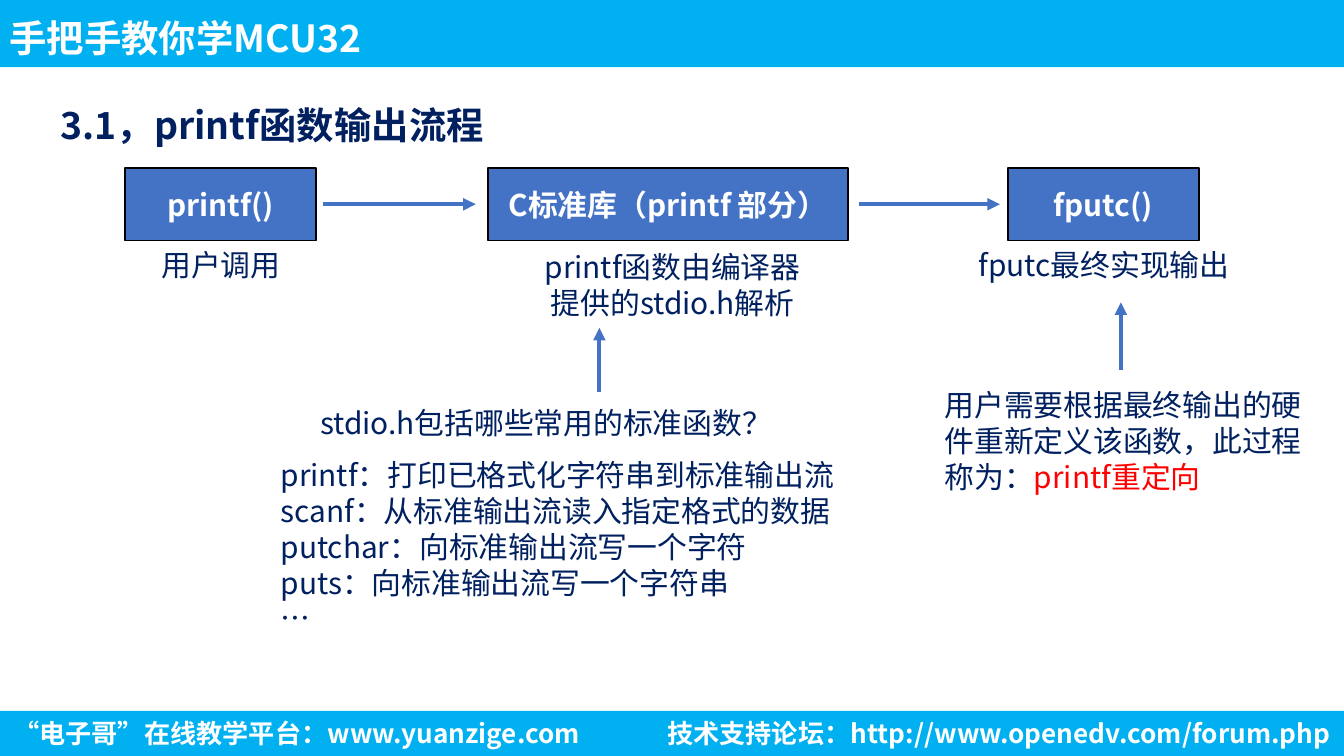
import pptx
import pptx.util
import pptx.dml.color
import pptx.enum.shapes
import pptx.enum.text
import pptx.oxml.ns
from lxml import etree

Inches, Pt = pptx.util.Inches, pptx.util.Pt
ALIGN, ANCHOR = pptx.enum.text.PP_ALIGN, pptx.enum.text.MSO_ANCHOR
RECT = pptx.enum.shapes.MSO_SHAPE.RECTANGLE
STRAIGHT = pptx.enum.shapes.MSO_CONNECTOR.STRAIGHT
qn = pptx.oxml.ns.qn
FONT = "Noto Sans CJK SC"
SKY, BLUE, NAVY = "00B0F0", "4472C4", "002060"
WHITE, BLACK, RED = "FFFFFF", "000000", "FF0000"


def rgb(value):
    return pptx.dml.color.RGBColor.from_string(value)


def write(sp, text, size=16, color=NAVY, bold=False, align=ALIGN.LEFT, anchor=ANCHOR.TOP):
    tf = sp.text_frame
    tf.text = text
    tf.word_wrap = True
    tf.auto_size = pptx.enum.text.MSO_AUTO_SIZE.NONE
    tf.vertical_anchor = anchor
    for p in tf.paragraphs:
        p.alignment = align
        for r in p.runs:
            r.font.size, r.font.bold, r.font.name = Pt(size), bold, FONT
            r.font.color.rgb = rgb(color)
            etree.SubElement(r.font._element, qn("a:ea")).set("typeface", FONT)
    return tf


# A 16:9 slide
prs = pptx.Presentation()
prs.slide_width = Inches(10)
prs.slide_height = Inches(10 * 9 / 16)
s = prs.slides.add_slide(prs.slide_layouts[5])

# Header and footer bands
for top, height in [(0, 0.5), (5.29, 0.34)]:
    sp = s.shapes.add_shape(RECT, 0, Inches(top), Inches(10), Inches(height))
    sp.shadow.inherit = False
    sp.fill.solid()
    sp.fill.fore_color.rgb = rgb(SKY)
    sp.line.fill.background()

# Course name in the header
sp = s.shapes.add_textbox(0, 0, Inches(6.45), Inches(0.5))
tf = write(sp, "手把手教你学MCU32", 20, WHITE, True, anchor=ANCHOR.MIDDLE)
tf.margin_left = tf.margin_right = Inches(0.07)
tf.margin_top = tf.margin_bottom = Inches(0.04)
tf.paragraphs[0].line_spacing = 1.2

# Addresses in the footer
for left, width, align, text in [
    (0, 5.88, ALIGN.LEFT, "“电子哥”在线教学平台：www.yuanzige.com"),
    (3.63, 6.37, ALIGN.RIGHT, "技术支持论坛：http://www.openedv.com/forum.php"),
]:
    sp = s.shapes.add_textbox(Inches(left), Inches(5.29), Inches(width), Inches(0.34))
    write(sp, text, 14, WHITE, True, align)

# Section title
sp = s.shapes.title
sp.left, sp.top, sp.width, sp.height = Inches(0.4), Inches(0.57), Inches(5.24), Inches(0.5)
tf = write(sp, "3.1，printf函数输出流程", 20, NAVY, True)
tf.margin_left = tf.margin_right = Inches(0.05)
tf.margin_top = tf.margin_bottom = Inches(0.02)
tf.paragraphs[0].line_spacing = 1.5

# Flow boxes
for left, width, text in [
    (0.93, 1.42, "printf()"),
    (3.63, 2.68, "C标准库（printf 部分）"),
    (7.5, 1.42, "fputc()"),
]:
    sp = s.shapes.add_shape(RECT, Inches(left), Inches(1.25), Inches(width), Inches(0.54))
    sp.shadow.inherit = False
    sp.fill.solid()
    sp.fill.fore_color.rgb = rgb(BLUE)
    sp.line.color.rgb = rgb(BLACK)
    sp.line.width = Pt(1)
    write(sp, text, 16, WHITE, True, ALIGN.CENTER, ANCHOR.MIDDLE)

# Captions under the boxes and the question
for left, top, width, height, text in [
    (0.98, 1.79, 1.33, 0.37, "用户调用"),
    (3.87, 1.8, 2.27, 0.64, "printf函数由编译器提供的stdio.h解析"),
    (7.08, 1.79, 2.27, 0.37, "fputc最终实现输出"),
    (2.25, 2.96, 3.63, 0.37, "stdio.h包括哪些常用的标准函数？"),
]:
    sp = s.shapes.add_textbox(Inches(left), Inches(top), Inches(width), Inches(height))
    write(sp, text, align=ALIGN.CENTER)

# Redirection note, with its key term in red
sp = s.shapes.add_textbox(Inches(6.93), Inches(2.83), Inches(2.98), Inches(0.91))
tf = write(sp, "用户需要根据最终输出的硬件重新定义该函数，此过程称为：")
r = tf.paragraphs[0].add_run()
r.text = "printf重定向"
r.font.size, r.font.name = Pt(16), FONT
r.font.color.rgb = rgb(RED)
etree.SubElement(r.font._element, qn("a:ea")).set("typeface", FONT)

# Standard functions
functions = [
    "printf：打印已格式化字符串到标准输出流",
    "scanf：从标准输出流读入指定格式的数据putchar：向标准输出流写一个字符",
    "puts：向标准输出流写一个字符串",
    "…",
]
sp = s.shapes.add_textbox(Inches(1.99), Inches(3.35), Inches(4.56), Inches(1.45))
write(sp, "\n".join(functions))

# Arrows
for x1, y1, x2, y2 in [
    (2.4, 1.52, 3.54, 1.52),
    (6.39, 1.52, 7.44, 1.52),
    (4.46, 2.92, 4.46, 2.44),
    (8.34, 2.75, 8.34, 2.25),
]:
    arrow = s.shapes.add_connector(STRAIGHT, Inches(x1), Inches(y1), Inches(x2), Inches(y2))
    arrow.line.color.rgb = rgb(BLUE)
    arrow.line.width = Pt(2.25)
    etree.SubElement(arrow.line._get_or_add_ln(), qn("a:tailEnd")).set("type", "triangle")
    etree.SubElement(arrow._element.spPr, qn("a:effectLst"))

prs.save("out.pptx")
